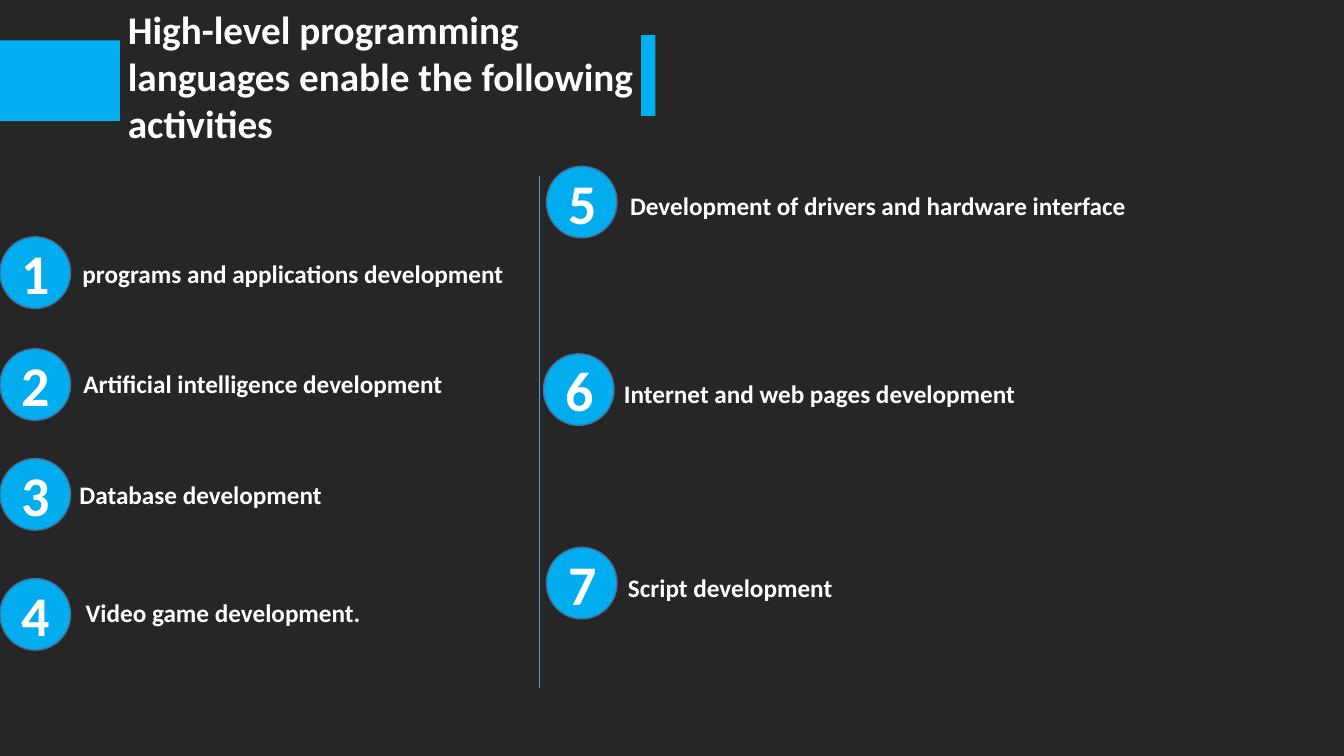
from pptx import Presentation
from pptx.dml.color import RGBColor
from pptx.enum.shapes import MSO_CONNECTOR, MSO_SHAPE
from pptx.enum.text import MSO_AUTO_SIZE
from pptx.oxml.ns import qn
from pptx.util import Inches, Pt
from lxml import etree

RECTANGLE = MSO_SHAPE.RECTANGLE
OVAL = MSO_SHAPE.OVAL
STRAIGHT = MSO_CONNECTOR.STRAIGHT
FIT_SHAPE = MSO_AUTO_SIZE.SHAPE_TO_FIT_TEXT


def color(value):
    return RGBColor.from_string(value)


class ActivitySlide:
    font = "Calibri"
    background = "262626"
    white = "FFFFFF"
    accent = "00B0F0"
    badge_fill = "01ACEF"
    badge_line = "41719C"
    divider_color = "5B9BD5"

    def __init__(self, presentation):
        self.slide = presentation.slides.add_slide(presentation.slide_layouts[6])
        fill = self.slide.background.fill
        fill.solid()
        fill.fore_color.rgb = color(self.background)

    def shape(self, shapes, kind, box, fill, line=None):
        shape = shapes.add_shape(kind, *map(Inches, box))
        shape.shadow.inherit = False
        shape.fill.solid()
        shape.fill.fore_color.rgb = color(fill)
        if line:
            shape.line.color.rgb = color(line)
            shape.line.width = Pt(1)
        else:
            shape.line.fill.background()

    def bar(self, box):
        self.shape(self.slide.shapes, RECTANGLE, box, self.accent)

    def text(self, shapes, box, text, size, wrap=True):
        frame = shapes.add_textbox(*map(Inches, box)).text_frame
        frame.word_wrap = wrap
        frame.auto_size = FIT_SHAPE
        run = frame.paragraphs[0].add_run()
        run.text = text
        run.font.name = self.font
        run.font.size = Pt(size)
        run.font.bold = True
        run.font.color.rgb = color(self.white)

    def title(self, box, text):
        self.text(self.slide.shapes, box, text, 28)

    def label(self, box, text):
        self.text(self.slide.shapes, box, text, 18, wrap=False)

    def badge(self, left, top, number):
        shapes = self.slide.shapes.add_group_shape().shapes
        self.shape(shapes, OVAL, (left, top, 0.7, 0.71), self.badge_fill, self.badge_line)
        self.text(shapes, (left + 0.12, top - 0.03, 0.5, 0.77), str(number), 40)

    def divider(self, left, top, bottom):
        line = self.slide.shapes.add_connector(
            STRAIGHT, Inches(left), Inches(top), Inches(left), Inches(bottom))
        line.line.color.rgb = color(self.divider_color)
        line.line.width = Pt(0.5)
        etree.SubElement(line._element.spPr, qn("a:effectLst"))


ACTIVITIES = [
    (0, 2.35, 0.72, 2.51, 4.43, "programs and applications development"),
    (0, 3.46, 0.73, 3.6, 3.8, "Artificial intelligence development"),
    (0, 4.55, 0.69, 4.71, 2.76, "Database development"),
    (0, 5.74, 0.75, 5.88, 3.02, "Video game development."),
    (5.42, 1.65, 6.15, 1.84, 5.19, "Development of drivers and hardware interface"),
    (5.39, 3.51, 6.09, 3.7, 4.13, "Internet and web pages development"),
    (5.42, 5.43, 6.13, 5.63, 2.28, "Script development"),
]


def main():
    presentation = Presentation()
    presentation.slide_width = Inches(13.33)
    presentation.slide_height = Inches(7.5)

    page = ActivitySlide(presentation)
    page.title((1.17, 0, 5.66, 1.51),
               "High-level programming languages enable the following activities")
    page.bar((0, 0.4, 1.19, 0.8))
    page.bar((6.36, 0.35, 0.14, 0.8))
    page.divider(5.35, 1.75, 6.83)
    for number, activity in enumerate(ACTIVITIES, start=1):
        badge_left, badge_top, label_left, label_top, label_width, text = activity
        page.badge(badge_left, badge_top, number)
        page.label((label_left, label_top, label_width, 0.4), text)

    presentation.save("out.pptx")


if __name__ == "__main__":
    main()
